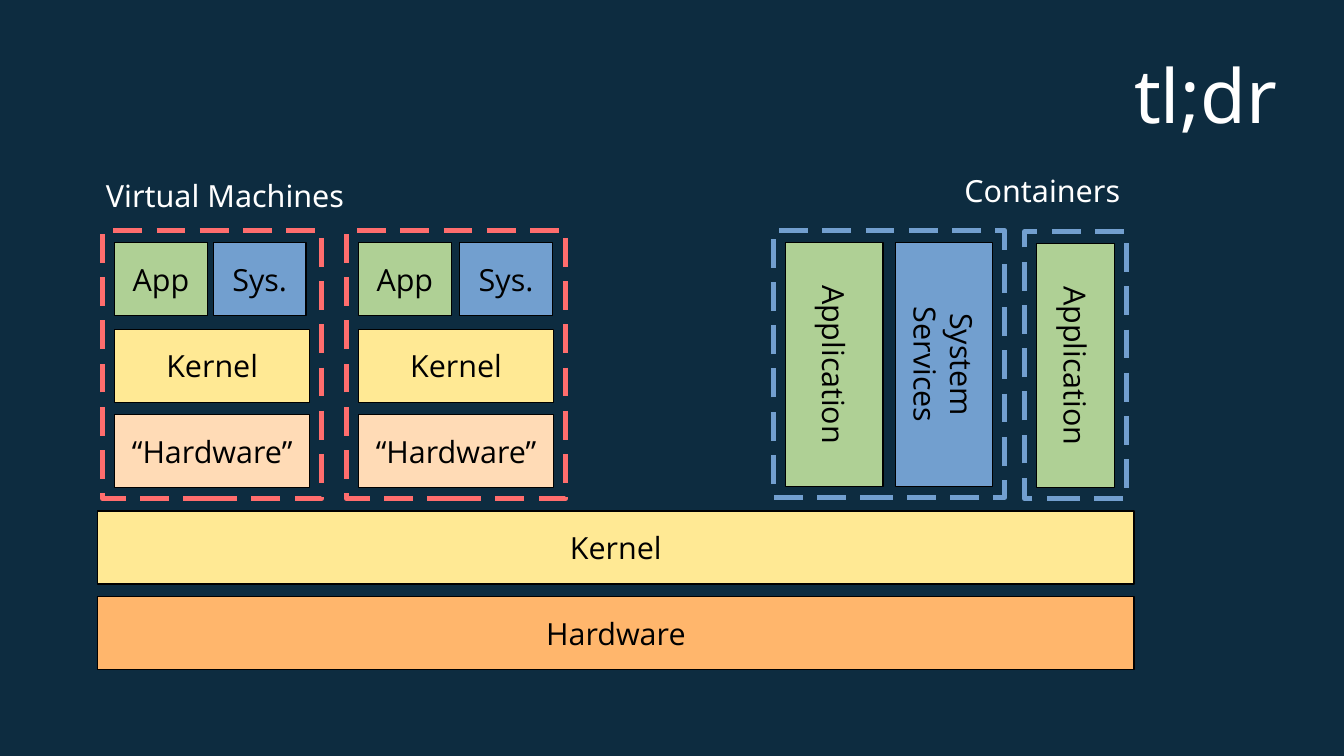
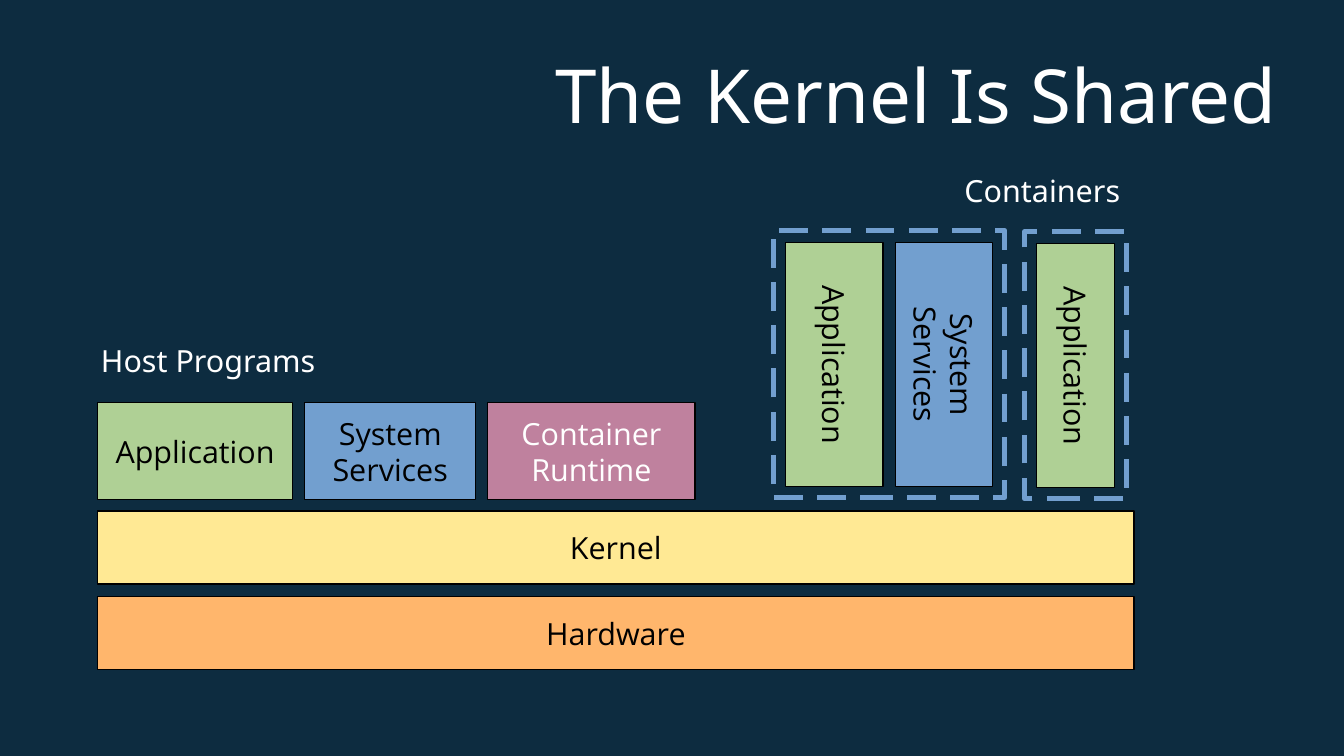
from lxml import etree
from pptx import Presentation
from pptx import util as u
from pptx.dml.color import RGBColor
from pptx.enum import shapes, text
from pptx.oxml import ns

PX = 9144
NAVY = RGBColor(0x0D, 0x2C, 0x40)
WHITE = RGBColor(0xFF, 0xFF, 0xFF)
BLACK = RGBColor(0x00, 0x00, 0x00)
ORANGE = RGBColor(0xFF, 0xB6, 0x6C)
PEACH = RGBColor(0xFF, 0xDB, 0xB6)
YELLOW = RGBColor(0xFF, 0xE9, 0x94)
GREEN = RGBColor(0xAF, 0xD0, 0x95)
BLUE = RGBColor(0x72, 0x9F, 0xCF)
RED = RGBColor(0xFF, 0x6D, 0x6D)
MAUVE = RGBColor(0xBF, 0x81, 0x9E)
TITLE_FONT = "Noto Sans"
BLOCK_FONT = "Open Sans"


def write(frame, words, *, font=BLOCK_FONT, size=18, color=BLACK,
          align=text.PP_ALIGN.CENTER, anchor=text.MSO_ANCHOR.MIDDLE,
          wrap=False, inset=(10, 5), fit=text.MSO_AUTO_SIZE.NONE):
    frame.auto_size = fit
    frame.word_wrap = wrap
    frame.vertical_anchor = anchor
    frame.margin_left = frame.margin_right = inset[0] * PX
    frame.margin_top = frame.margin_bottom = inset[1] * PX
    for index, line in enumerate(words.split("\n")):
        para = frame.add_paragraph() if index else frame.paragraphs[0]
        para.alignment = align
        span = para.add_run()
        span.text = line
        span.font.name = font
        span.font.size = u.Pt(size)
        span.font.color.rgb = color


class Sketch:
    """Builds block diagrams on titled slides in one shared style."""

    def __init__(self, width, height):
        self.deck = Presentation()
        self.deck.slide_width = width * PX
        self.deck.slide_height = height * PX
        backdrop = self.deck.slide_master.background.fill
        backdrop.solid()
        backdrop.fore_color.rgb = NAVY
        self.page = None

    def start(self, title):
        self.page = self.deck.slides.add_slide(self.deck.slide_layouts[5])
        box = self.page.shapes.title
        box.left, box.top, box.width, box.height = (
            n * PX for n in (55, 25, 992, 104))
        write(box.text_frame, title, font=TITLE_FONT, size=44, color=WHITE,
              align=text.PP_ALIGN.RIGHT, wrap=True, inset=(0, 0))

    def rectangle(self, left, top, width, height, line, weight):
        box = self.page.shapes.add_shape(
            shapes.MSO_SHAPE.RECTANGLE,
            left * PX, top * PX, width * PX, height * PX)
        box.shadow.inherit = False
        box.line.color.rgb = line
        box.line.width = u.Pt(weight)
        return box

    def block(self, words, left, top, width, height, fill, color=BLACK):
        box = self.rectangle(left, top, width, height, BLACK, 0)
        box.fill.solid()
        box.fill.fore_color.rgb = fill
        write(box.text_frame, words, color=color)
        return box

    def upright(self, words, left, top, width, height, fill):
        shift = (height - width) // 2
        box = self.block(words, left - shift, top + shift, height, width, fill)
        box.rotation = 90

    def frame(self, left, top, width, height, color):
        box = self.rectangle(left, top, width, height, color, 2.83)
        box.fill.background()
        pattern = etree.SubElement(box.line._get_or_add_ln(), ns.qn("a:custDash"))
        etree.SubElement(pattern, ns.qn("a:ds"), d="600000", sp="300000")

    def label(self, words, left, top, width):
        box = self.page.shapes.add_textbox(
            left * PX, top * PX, width * PX, 44 * PX)
        write(box.text_frame, words, font=TITLE_FONT, color=WHITE,
              align=text.PP_ALIGN.LEFT, anchor=text.MSO_ANCHOR.TOP,
              wrap=True, fit=text.MSO_AUTO_SIZE.SHAPE_TO_FIT_TEXT)

    def host(self):
        self.block("Hardware", 80, 489, 850, 60, ORANGE)
        self.block("Kernel", 80, 419, 850, 60, YELLOW)

    def containers(self):
        self.label("Containers", 781, 136, 160)
        self.frame(634, 189, 190, 219, BLUE)
        self.upright("Application", 644, 199, 80, 200, GREEN)
        self.upright("System\nServices", 734, 199, 80, 200, BLUE)
        self.frame(840, 190, 84, 219, BLUE)
        self.upright("Application", 850, 200, 64, 200, GREEN)

    def virtual_machine(self, left, sys_offset):
        self.frame(left, 189, 180, 220, RED)
        inner = left + 10
        self.block("App", inner, 199, 76, 60, GREEN)
        self.block("Sys.", inner + sys_offset, 199, 76, 60, BLUE)
        self.block("Kernel", inner, 270, 160, 60, YELLOW)
        self.block("“Hardware”", inner, 340, 160, 60, PEACH)


def main():
    sketch = Sketch(1102, 620)

    sketch.start("tl;dr")
    sketch.host()
    sketch.label("Virtual Machines", 77, 140, 389)
    for left, sys_offset in ((84, 81), (284, 83)):
        sketch.virtual_machine(left, sys_offset)
    sketch.containers()

    sketch.start("The Kernel Is Shared")
    sketch.host()
    sketch.containers()
    sketch.label("Host Programs", 73, 276, 210)
    left = 80
    for words, width, fill, color in (
            ("Application", 160, GREEN, BLACK),
            ("System\nServices", 140, BLUE, BLACK),
            ("Container\nRuntime", 170, MAUVE, WHITE)):
        sketch.block(words, left, 330, width, 80, fill, color)
        left += width + 10

    sketch.deck.save("out.pptx")


if __name__ == "__main__":
    main()
